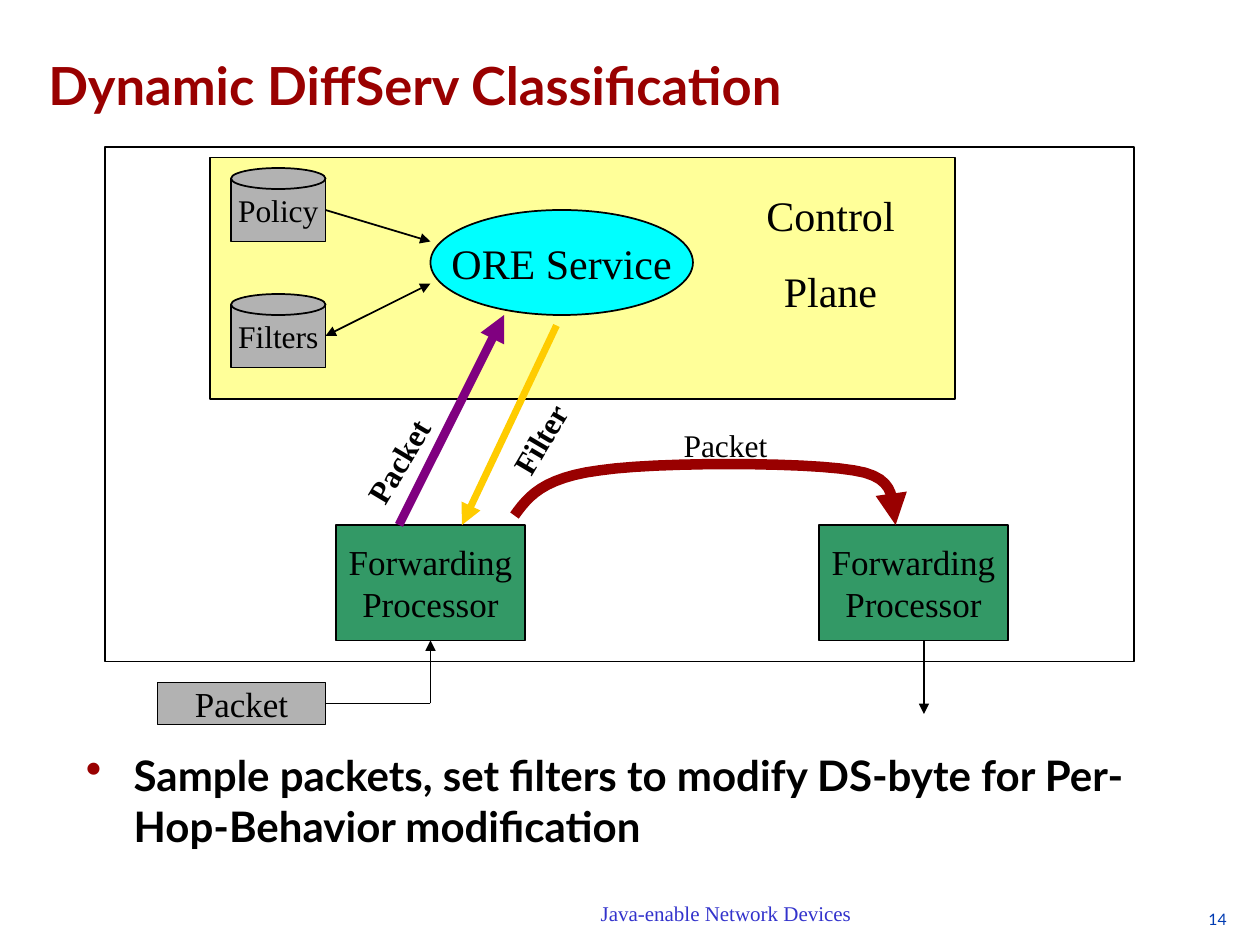
from lxml.etree import SubElement
from pptx import Presentation
from pptx.dml.color import RGBColor
from pptx.enum.shapes import MSO_CONNECTOR, MSO_SHAPE
from pptx.enum.text import MSO_ANCHOR, PP_ALIGN
from pptx.oxml.ns import qn
from pptx.util import Inches, Pt

BLACK = RGBColor(0x00, 0x00, 0x00)
DARK_RED = RGBColor(0x99, 0x00, 0x00)
YELLOW = RGBColor(0xFF, 0xFF, 0x99)
GREEN = RGBColor(0x33, 0x99, 0x66)
GREY = RGBColor(0xB2, 0xB2, 0xB2)
CYAN = RGBColor(0x00, 0xFF, 0xFF)
PURPLE = RGBColor(0x80, 0x00, 0x80)
GOLD = RGBColor(0xFF, 0xCC, 0x00)
FOOTER_BLUE = RGBColor(0x33, 0x33, 0xCC)
NUMBER_BLUE = RGBColor(0x00, 0x3B, 0xB2)
SERIF = "Times New Roman"
SANS = "Lato"


def cells(*counts):
    """Turn counts of grid cells, twelve to the inch, into lengths."""
    return [Inches(count / 12) for count in counts]


def write(shape, lines, size, font=SERIF, color=BLACK, bold=False,
          align=PP_ALIGN.CENTER, anchor=MSO_ANCHOR.MIDDLE, wrap=False, gap=0):
    """Put one paragraph per line into a shape and return its text frame."""
    frame = shape.text_frame
    frame.word_wrap = wrap
    frame.vertical_anchor = anchor
    for index, line in enumerate(lines):
        paragraph = frame.add_paragraph() if index else frame.paragraphs[0]
        paragraph.text = line
        paragraph.alignment = align
        if index and gap:
            paragraph.space_before = Pt(gap)
        paragraph.font.name = font
        paragraph.font.size = Pt(size)
        paragraph.font.bold = bold
        paragraph.font.color.rgb = color
    return frame


def add_label(slide, area, lines, size, rotation=0, **style):
    """Add a text box on the grid and return its text frame."""
    box = slide.shapes.add_textbox(*cells(*area))
    box.rotation = rotation
    return write(box, lines, size, **style)


def add_node(shapes, kind, area, fill=None, lines=(), size=20, width=1):
    """Add an outlined preset shape, filled and labelled if asked."""
    node = shapes.add_shape(kind, *cells(*area))
    node.shadow.inherit = False
    if fill is None:
        node.fill.background()
    else:
        node.fill.solid()
        node.fill.fore_color.rgb = fill
    node.line.color.rgb = BLACK
    node.line.width = Pt(width)
    write(node, lines, size)
    return node


def add_store(slide, top, name):
    """Add a grouped cylinder and return its body."""
    group = slide.shapes.add_group_shape()
    body = add_node(group.shapes, MSO_SHAPE.RECTANGLE, (22, top + 1, 9, 6),
                    GREY, [name], 18)
    add_node(group.shapes, MSO_SHAPE.OVAL, (22, top, 9, 2), GREY)
    return body


def style_line(shape, color, width, ends):
    """Colour a line and set triangles on the named ends."""
    shape.line.color.rgb = color
    shape.line.width = Pt(width)
    outline = shape.element.spPr.find(qn("a:ln"))
    for end in ends:
        SubElement(outline, qn(f"a:{end}"), type="triangle")


def add_line(slide, start, finish, color=BLACK, width=1, ends=("tailEnd",),
             begin_joint=None, end_joint=None):
    """Add a straight connector, joined to shapes where joints are given."""
    connector = slide.shapes.add_connector(
        MSO_CONNECTOR.STRAIGHT, *cells(*start, *finish))
    if begin_joint:
        connector.begin_connect(*begin_joint)
    if end_joint:
        connector.end_connect(*end_joint)
    style_line(connector, color, width, ends)
    SubElement(connector.element.spPr, qn("a:effectLst"))


def add_curve(slide, start, segments, color, width, steps=12):
    """Add an open arrow that follows cubic curves."""
    points = []
    origin = start
    for first, second, target in segments:
        for step in range(1, steps + 1):
            t = step / steps
            weights = ((1 - t) ** 3, 3 * t * (1 - t) ** 2,
                       3 * t ** 2 * (1 - t), t ** 3)
            anchors = (origin, first, second, target)
            points.append(cells(*(
                sum(weight * anchor[axis]
                    for weight, anchor in zip(weights, anchors))
                for axis in (0, 1))))
        origin = target
    builder = slide.shapes.build_freeform(*cells(*start))
    builder.add_line_segments(points, close=False)
    curve = builder.convert_to_shape()
    curve.fill.background()
    curve.shadow.inherit = False
    style_line(curve, color, width, ("tailEnd",))


def add_bullet(paragraph):
    """Give a paragraph a hanging dark red bullet."""
    properties = paragraph._p.get_or_add_pPr()
    properties.set("marL", str(Inches(0.38)))
    properties.set("indent", str(-Inches(0.38)))
    color = SubElement(properties, qn("a:buClr"))
    SubElement(color, qn("a:srgbClr"), val=str(DARK_RED))
    SubElement(properties, qn("a:buSzPct"), val="110000")
    SubElement(properties, qn("a:buChar"), char="•")


def add_statement(slide, area, text):
    """Add the bulleted statement below the diagram."""
    box = slide.shapes.add_textbox(*cells(*area))
    add_bullet(box.text_frame.paragraphs[0])
    write(box, [text], 24, font=SANS, bold=True, align=PP_ALIGN.LEFT,
          anchor=MSO_ANCHOR.TOP, wrap=True)


def add_diagram(slide):
    """Draw the control plane, the processors and the packet flow."""
    shapes = slide.shapes
    rectangle = MSO_SHAPE.RECTANGLE
    add_node(shapes, rectangle, (20, 15, 71, 23), YELLOW)
    ingress, _ = [
        add_node(shapes, rectangle, (left, 50, 18, 11), GREEN,
                 ["Forwarding", "Processor"], width=0.75)
        for left in (32, 78)]
    add_node(shapes, rectangle, (10, 14, 98, 49), width=0.75)
    packet = add_node(shapes, rectangle, (15, 65, 16, 4), GREY, ["Packet"])
    policy = add_store(slide, 16, "Policy")
    filters = add_store(slide, 28, "Filters")

    add_line(slide, (41, 67), (31, 67), ends=(), end_joint=(packet, 3))
    add_line(slide, (41, 67), (41, 61), end_joint=(ingress, 2))
    add_line(slide, (88, 61), (88, 68))
    add_line(slide, (31, 20), (41, 23), begin_joint=(policy, 3))
    add_line(slide, (31, 32), (41, 27), ends=("headEnd", "tailEnd"),
             begin_joint=(filters, 3))
    add_line(slide, (38, 50), (48, 30), PURPLE, 5)
    add_line(slide, (53, 31), (44, 50), GOLD, 4)
    add_curve(slide, (49, 49.1), [
        ((50.3, 47.3), (51.7, 45.5), (57.1, 44.8)),
        ((62.4, 44), (76.6, 44), (81.3, 44.8)),
        ((86, 45.5), (84.6, 48.3), (85.3, 49.1)),
        ((86, 50), (85.7, 50), (85.3, 50))], DARK_RED, 6)
    add_node(shapes, MSO_SHAPE.OVAL, (41, 20, 25, 10), CYAN,
             ["ORE Service"], 24)

    add_label(slide, (63.1, 40, 12, 4.8), ["Packet"], 18)
    add_label(slide, (31.9, 41.5, 12, 4.8), ["Packet"], 18, 300.7, bold=True)
    add_label(slide, (45.4, 39.4, 12, 4.8), ["Filter"], 18, 300.6, bold=True)
    add_label(slide, (71.8, 17.4, 14.6, 13.3), ["Control", "Plane"], 24,
              gap=15)


def main():
    """Build the slide and save it."""
    presentation = Presentation()
    presentation.slide_width, presentation.slide_height = cells(120, 90)
    slide = presentation.slides.add_slide(presentation.slide_layouts[6])
    title = add_label(slide, (4, 3, 103, 8.75),
                      ["Dynamic DiffServ Classification"], 30, font=SANS,
                      color=DARK_RED, bold=True, align=PP_ALIGN.LEFT,
                      anchor=MSO_ANCHOR.BOTTOM, wrap=True)
    title.margin_left = title.margin_right = Inches(0.05)
    title.paragraphs[0].line_spacing = 0.93
    add_diagram(slide)
    add_statement(slide, (7, 70.8, 107, 15.2),
                  "Sample packets, set filters to modify DS-byte for "
                  "Per-Hop-Behavior modification")
    add_label(slide, (56, 85.2, 26.3, 3.6), ["Java-enable Network Devices"],
              12, color=FOOTER_BLUE)
    number = add_label(slide, (80.8, 86.6, 37.2, 2), ["14"], 9, font=SANS,
                       color=NUMBER_BLUE, align=PP_ALIGN.RIGHT,
                       anchor=MSO_ANCHOR.TOP, wrap=True)
    number.margin_top = number.margin_bottom = 0
    presentation.save("out.pptx")


if __name__ == "__main__":
    main()
